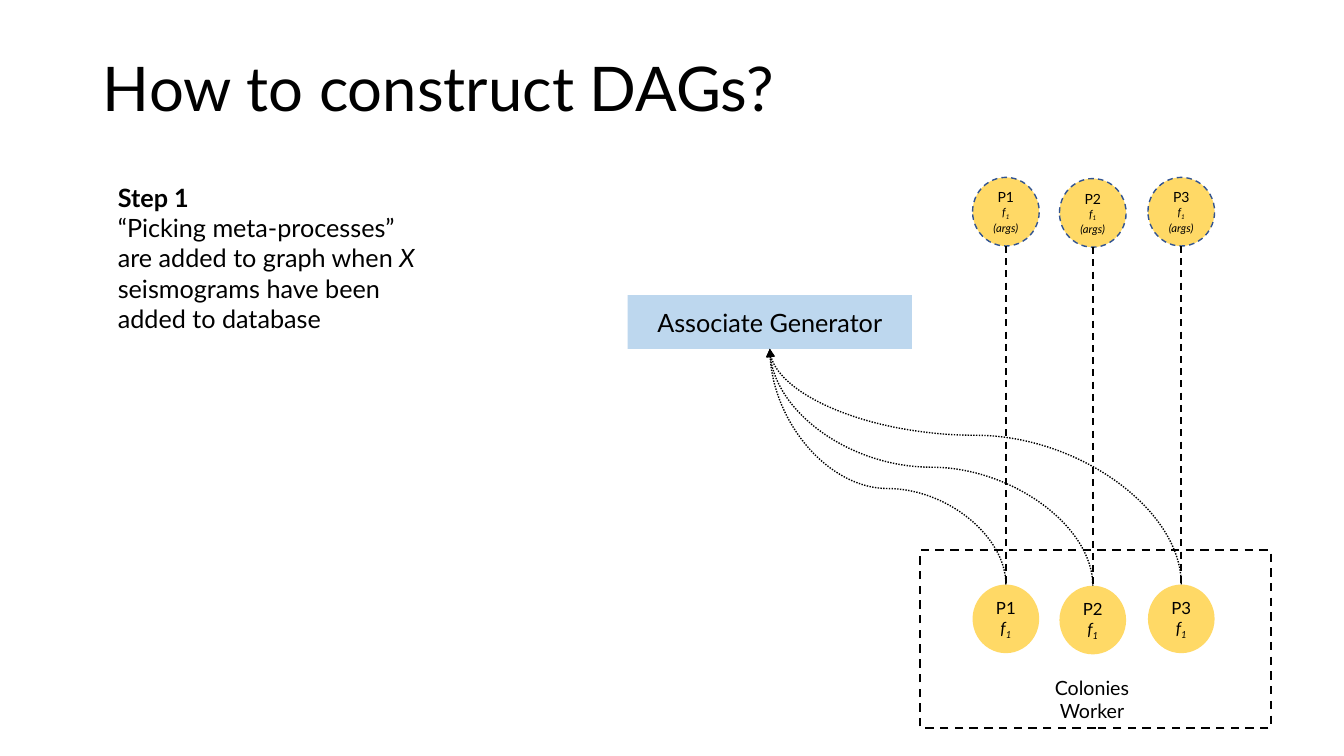
"""Build the slide that shows step 1 of constructing DAGs."""
from lxml.etree import SubElement
from pptx import Presentation
from pptx.dml.color import RGBColor
from pptx.enum.dml import MSO_LINE_DASH_STYLE as Dash
from pptx.enum.shapes import MSO_CONNECTOR_TYPE as Link, MSO_SHAPE as Preset
from pptx.enum.text import MSO_ANCHOR as Anchor, PP_ALIGN as Align
from pptx.oxml.ns import qn
from pptx.util import Cm, Pt

COLORS = {"text": "000000", "process": "FFD966", "outline": "325491", "generator": "BDD7EE"}
PLAIN, BOLD, ITALIC = {}, {"bold": True}, {"italic": True}
SUBSCRIPT = {"italic": True, "baseline": "-25000"}


def write(shape, lines, sizes, align=Align.CENTER, anchor=Anchor.MIDDLE):
    """Fill a shape with lines of (text, format) runs, one size per line."""
    frame = shape.text_frame
    frame.word_wrap = True
    frame.vertical_anchor = anchor
    for index, (line, size) in enumerate(zip(lines, sizes)):
        paragraph = frame.add_paragraph() if index else frame.paragraphs[0]
        paragraph.alignment = align
        for text, style in line:
            run = paragraph.add_run()
            run.text = text
            run.font.color.rgb = RGBColor.from_string(COLORS["text"])
            for name, value in {"name": "Lato", "size": Pt(size), **style}.items():
                if name == "baseline":
                    run._r.get_or_add_rPr().set(name, value)
                else:
                    setattr(run.font, name, value)


def draw(item, fill=None, line=None, width=1, dash=Dash.DASH):
    """Set the fill and line of a shape or connector and drop its shadow."""
    if line:
        item.line.color.rgb = RGBColor.from_string(COLORS[line])
        item.line.width = Pt(width)
        item.line.dash_style = dash
    else:
        item.line.fill.background()
    if not hasattr(item, "fill"):
        SubElement(item._element.spPr, qn("a:effectLst"))
        return
    item.shadow.inherit = False
    if fill:
        item.fill.solid()
        item.fill.fore_color.rgb = RGBColor.from_string(COLORS[fill])
    else:
        item.fill.background()


deck = Presentation()
deck.slide_width, deck.slide_height = Cm(33.87), Cm(19.05)
slide = deck.slides.add_slide(deck.slide_layouts[5])
shapes = slide.shapes

title = shapes.title
title.left, title.top, title.width, title.height = Cm(2.34), Cm(1.02), Cm(20.78), Cm(2.57)
write(title, [[("How to construct DAGs?", PLAIN)]], [44], Align.LEFT)
title.text_frame.paragraphs[0].line_spacing = 0.9

step = shapes.add_textbox(Cm(2.72), Cm(4.47), Cm(8.46), Cm(4.11))
step_lines = [
    [("Step 1", BOLD)],
    [("“Picking meta-processes” are added to graph when ", PLAIN), ("X", ITALIC),
     (" seismograms have been added to database", PLAIN)],
]
write(step, step_lines, [18, 18], Align.LEFT, Anchor.TOP)

worker = shapes.add_shape(Preset.RECTANGLE, Cm(23.19), Cm(13.87), Cm(8.84), Cm(4.47))
draw(worker, line="text", width=1.5)

generator = shapes.add_shape(Preset.RECTANGLE, Cm(15.82), Cm(7.44), Cm(7.16), Cm(1.35))
draw(generator, "generator")
write(generator, [[("Associate Generator", PLAIN)]], [18])

node_width, node_height = 1.68, 1.73
target_x, target_y = 19.4, 8.79
processes = [("P1", 24.51, 4.47, 14.73, 40700),
             ("P2", 26.7, 4.5, 14.76, 50000),
             ("P3", 28.93, 4.47, 14.73, 63300)]
for process, left, meta_top, task_top, bend in processes:
    center = left + node_width / 2

    meta = shapes.add_shape(Preset.OVAL, Cm(left), Cm(meta_top), Cm(node_width), Cm(node_height))
    draw(meta, "process", "outline")
    call = [("f", ITALIC), ("1 ", SUBSCRIPT), ("(args)", ITALIC)]
    write(meta, [[(process, PLAIN)], call], [10, 8])

    task = shapes.add_shape(Preset.OVAL, Cm(left), Cm(task_top), Cm(node_width), Cm(node_height))
    draw(task, "process")
    write(task, [[(process, PLAIN)], [("f", ITALIC), ("1", SUBSCRIPT)]], [12, 12])

    link = shapes.add_connector(Link.STRAIGHT, Cm(center), Cm(meta_top + node_height),
                                Cm(center), Cm(task_top))
    draw(link, line="text", width=1.25)

    rise, run_length = task_top - target_y, center - target_x
    middle_x, middle_y = (center + target_x) / 2, (task_top + target_y) / 2
    curve = shapes.add_connector(
        Link.CURVE, Cm(middle_x - rise / 2), Cm(middle_y + run_length / 2),
        Cm(middle_x + rise / 2), Cm(middle_y - run_length / 2))
    draw(curve, line="text", dash=Dash.ROUND_DOT)
    properties = curve._element.spPr
    properties.find(qn("a:xfrm")).set("rot", "16200000")
    guides = properties.find(qn("a:prstGeom")).find(qn("a:avLst"))
    SubElement(guides, qn("a:gd"), name="adj1", fmla=f"val {bend}")
    SubElement(properties.find(qn("a:ln")), qn("a:tailEnd"), type="triangle")

worker_label = shapes.add_textbox(Cm(25.6), Cm(17.25), Cm(3.84), Cm(0.74))
write(worker_label, [[("Colonies Worker", PLAIN)]], [14])

deck.save("out.pptx")
